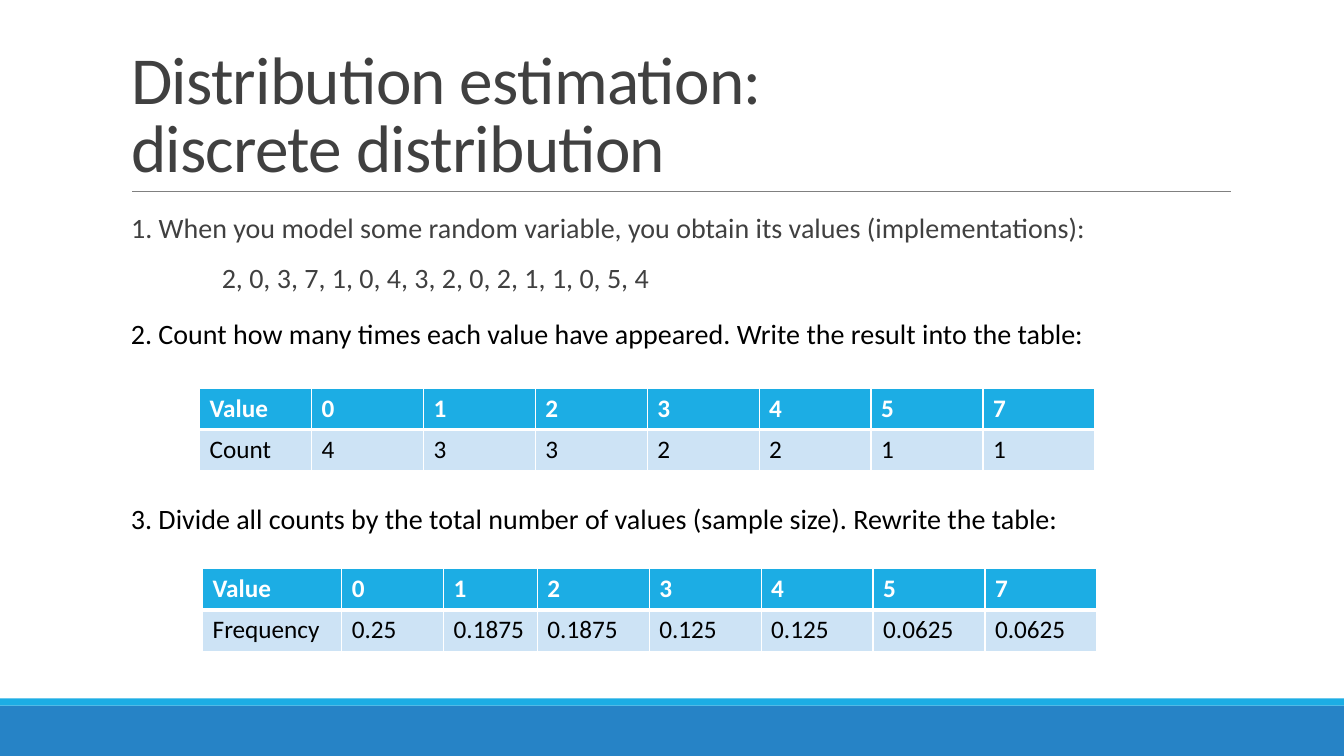
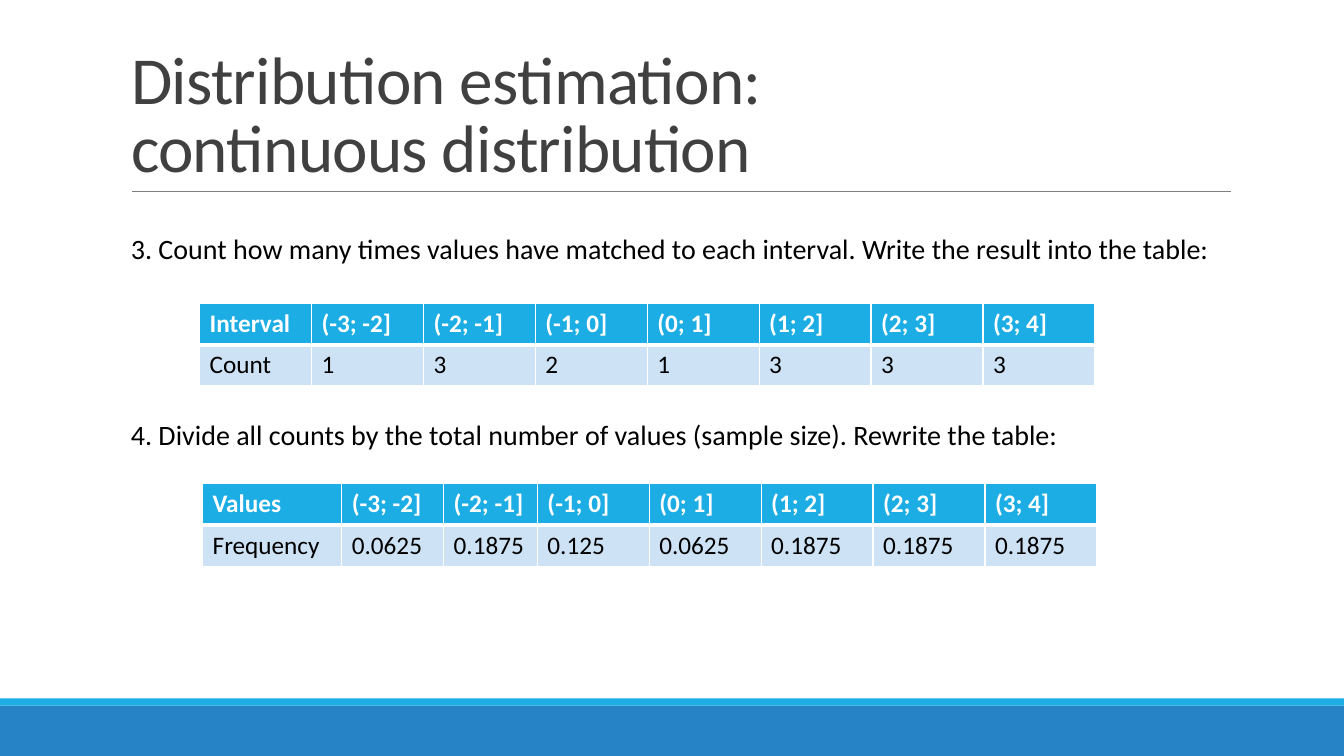
import pptx
import pptx.util
import pptx.dml.color
import pptx.enum.shapes
import pptx.enum.text
import pptx.oxml
import pptx.oxml.ns

Inches = pptx.util.Inches
Pt = pptx.util.Pt

FONT = "Calibri"
COLORS = {
    "band": "2683C6",
    "accent": "1CADE4",
    "rule": "808080",
    "heading": "404040",
    "text": "000000",
    "white": "FFFFFF",
    "row": "CDE3F5",
}
WIDTH, HEIGHT = 13.33, 7.5
TITLE_BOX = (1.2, 0.31, 11, 1.59)
COUNT_COLUMNS = [1.11] * 8
FREQUENCY_COLUMNS = [1.38, 1.01, 0.93] + [1.11] * 5
ROW_HEIGHT = 0.41


def rgb(name):
    """Return the named colour."""
    return pptx.dml.color.RGBColor.from_string(COLORS[name])


def add_span(para, text, size, color, bold=False):
    """Add one formatted run to a paragraph."""
    span = para.add_run()
    span.text = text
    span.font.name = FONT
    span.font.size = Pt(size)
    span.font.bold = bold
    span.font.color.rgb = rgb(color)
    return span


def place(shape, box):
    """Move a shape into a box given in inches."""
    shape.left, shape.top, shape.width, shape.height = map(Inches, box)


def add_band(page, box, color):
    """Draw a plain filled band."""
    band = page.shapes.add_shape(
        pptx.enum.shapes.MSO_SHAPE.RECTANGLE, *map(Inches, box))
    band.shadow.inherit = False
    band.fill.solid()
    band.fill.fore_color.rgb = rgb(color)
    band.line.fill.background()


def add_rule(page, left, top, width):
    """Draw the thin line below the title."""
    rule = page.shapes.add_connector(
        pptx.enum.shapes.MSO_CONNECTOR.STRAIGHT,
        Inches(left), Inches(top), Inches(left + width), Inches(top))
    rule.line.color.rgb = rgb("rule")
    rule.line.width = Pt(0.5)
    properties = rule._element.spPr
    properties.append(pptx.oxml.parse_xml(
        f"<a:effectLst {pptx.oxml.ns.nsdecls('a')}/>"))


def fill_title(title, box, lines):
    """Place and format the title, one line per entry."""
    place(title, box)
    frame = title.text_frame
    frame.word_wrap = True
    frame.auto_size = pptx.enum.text.MSO_AUTO_SIZE.NONE
    frame.vertical_anchor = pptx.enum.text.MSO_ANCHOR.BOTTOM
    para = frame.paragraphs[0]
    para.alignment = pptx.enum.text.PP_ALIGN.LEFT
    para.line_spacing = 0.85
    for index, line in enumerate(lines):
        if index:
            para.add_line_break()
        span = add_span(para, line, 48, "heading")
        span._r.get_or_add_rPr().set("spc", "-50")


def add_page(deck, layout, title_lines):
    """Add a slide with the shared bands, rule and title."""
    page = deck.slides.add_slide(deck.slide_layouts[layout])
    add_band(page, (0, 7, WIDTH, 0.5), "band")
    add_band(page, (0, 6.93, WIDTH, 0.07), "accent")
    left, top, width, height = TITLE_BOX
    add_rule(page, left + 0.11, top + height, width - 0.1)
    fill_title(page.shapes.title, TITLE_BOX, title_lines)
    return page


def fill_body(body, box, items):
    """Fill the body placeholder with (indent, text) paragraphs."""
    place(body, box)
    frame = body.text_frame
    frame.word_wrap = True
    frame.auto_size = pptx.enum.text.MSO_AUTO_SIZE.NONE
    frame.margin_left = frame.margin_right = 0
    for index, (indent, text) in enumerate(items):
        para = frame.add_paragraph() if index else frame.paragraphs[0]
        para.line_spacing = 0.9
        para.space_before, para.space_after = Pt(12), Pt(2)
        properties = para._p.get_or_add_pPr()
        properties.set("marL", str(Inches(indent)))
        properties.set("indent", "0")
        properties.append(pptx.oxml.parse_xml(
            f"<a:buNone {pptx.oxml.ns.nsdecls('a')}/>"))
        add_span(para, text, 20, "heading")


def add_caption(page, box, text):
    """Add the one-line instruction above a table."""
    caption = page.shapes.add_textbox(*map(Inches, box))
    caption.text_frame.word_wrap = False
    add_span(caption.text_frame.paragraphs[0], text, 20, "text")


def set_borders(cell, widths):
    """Give a cell white borders, with widths in points by side."""
    properties = cell._tc.get_or_add_tcPr()
    for side, width in widths.items():
        properties.append(pptx.oxml.parse_xml(
            f"<a:ln{side} {pptx.oxml.ns.nsdecls('a')} w=\"{Pt(width)}\">"
            f"<a:solidFill><a:srgbClr val=\"{COLORS['white']}\"/></a:solidFill>"
            f"</a:ln{side}>"))


def add_value_table(page, left, top, columns, rows):
    """Add a table with a coloured header row."""
    box = (left, top, sum(columns), ROW_HEIGHT * len(rows))
    table = page.shapes.add_table(
        len(rows), len(columns), *map(Inches, box)).table
    table.horz_banding = False
    for column, width in zip(table.columns, columns):
        column.width = Inches(width)
    for index, values in enumerate(rows):
        header = index == 0
        table.rows[index].height = Inches(ROW_HEIGHT)
        borders = {"L": 1, "R": 1, "T": 1 if header else 3, "B": 3 if header else 1}
        for cell, value in zip(table.rows[index].cells, values):
            set_borders(cell, borders)
            cell.fill.solid()
            cell.fill.fore_color.rgb = rgb("accent" if header else "row")
            add_span(cell.text_frame.paragraphs[0], value, 18,
                     "white" if header else "text", header)


def add_steps(page, left, top, count_step, frequency_step):
    """Stack the counting step and the frequency step."""
    caption, width, rows = count_step
    add_caption(page, (left, top, width, 0.44), caption)
    add_value_table(page, left + 0.78, top + 0.76, COUNT_COLUMNS, rows)
    caption, width, rows = frequency_step
    add_caption(page, (left, top + 1.84, width, 0.44), caption)
    add_value_table(page, left + 0.81, top + 2.55, FREQUENCY_COLUMNS, rows)


def build_discrete(deck):
    """Build the slide on discrete distributions."""
    page = add_page(deck, 1, ["Distribution estimation:", "discrete distribution"])
    fill_body(page.placeholders[1], (1.2, 2.08, 11, 1.01), [
        (0.1, "1. When you model some random variable, you obtain its values "
              "(implementations):"),
        (1, "2, 0, 3, 7, 1, 0, 4, 3, 2, 0, 2, 1, 1, 0, 5, 4"),
    ])
    header = ["Value", "0", "1", "2", "3", "4", "5", "7"]
    add_steps(
        page, 1.2, 3.09,
        ("2. Count how many times each value have appeared. "
         "Write the result into the table:", 9.66,
         [header, ["Count", "4", "3", "3", "2", "2", "1", "1"]]),
        ("3. Divide all counts by the total number of values (sample size). "
         "Rewrite the table:", 9.48,
         [header, ["Frequency", "0.25", "0.1875", "0.1875", "0.125", "0.125",
                   "0.0625", "0.0625"]]))


def build_continuous(deck):
    """Build the slide on continuous distributions."""
    page = add_page(deck, 5, ["Distribution estimation:", "continuous distribution"])
    intervals = [f"({low}; {low + 1}]" for low in range(-3, 4)]
    add_steps(
        page, 1.2, 2.25,
        ("3. Count how many times values have matched to each interval. "
         "Write the result into the table:", 10.93,
         [["Interval"] + intervals, ["Count", "1", "3", "2", "1", "3", "3", "3"]]),
        ("4. Divide all counts by the total number of values (sample size). "
         "Rewrite the table:", 9.48,
         [["Values"] + intervals,
          ["Frequency", "0.0625", "0.1875", "0.125", "0.0625", "0.1875",
           "0.1875", "0.1875"]]))


def main():
    """Build and save the deck."""
    deck = pptx.Presentation()
    deck.slide_width, deck.slide_height = Inches(WIDTH), Inches(HEIGHT)
    build_discrete(deck)
    build_continuous(deck)
    deck.save("out.pptx")


main()
